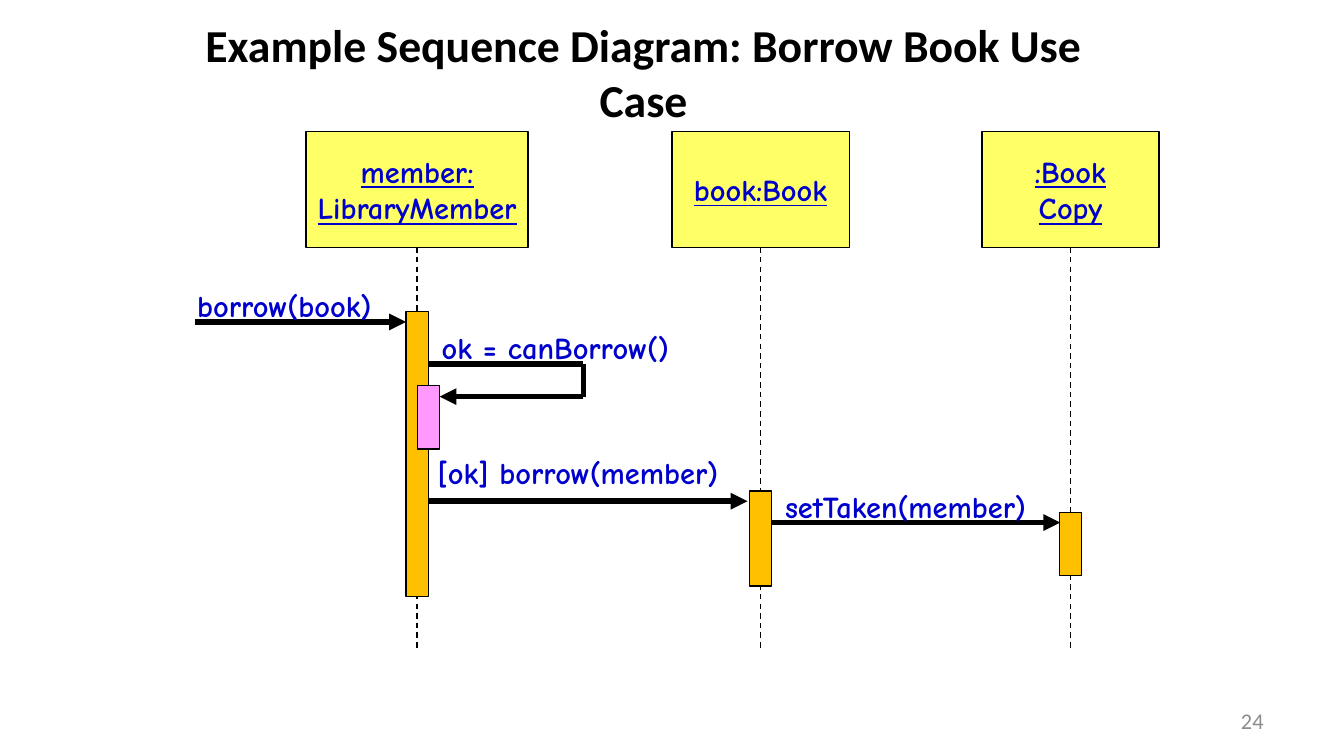
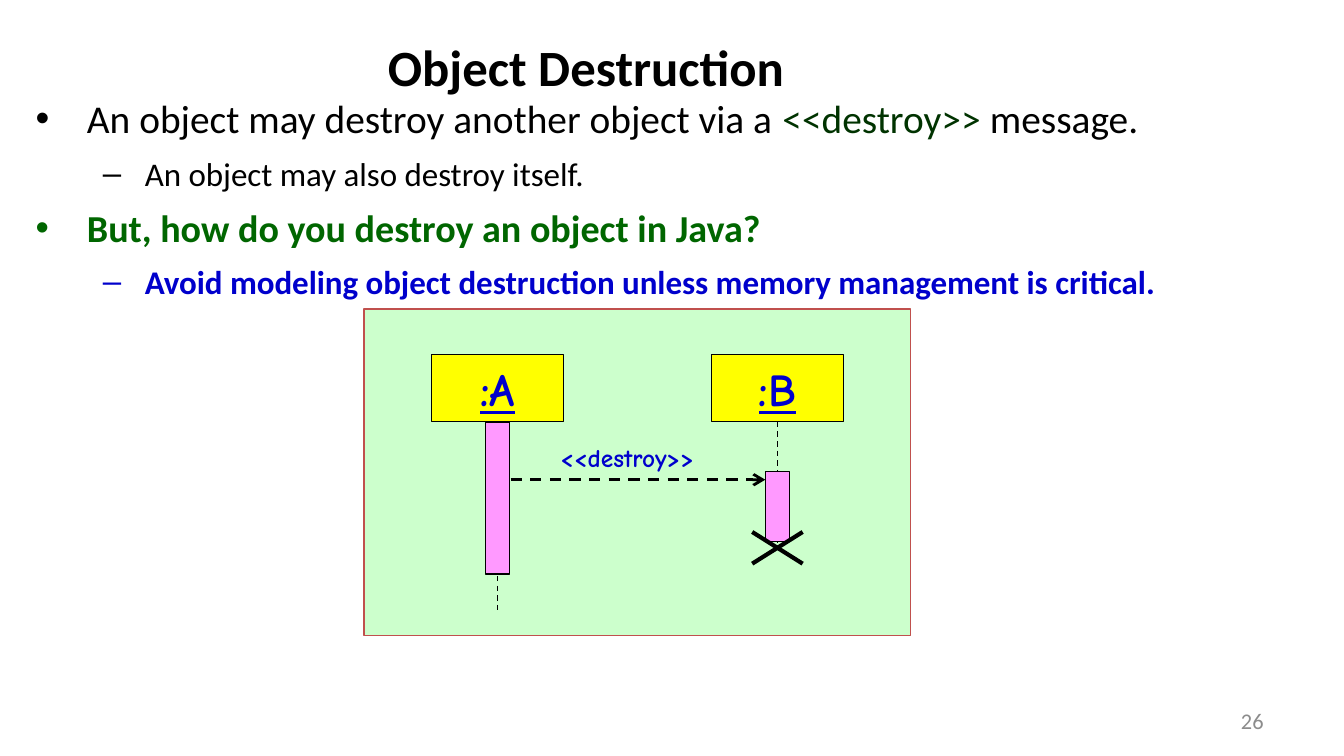
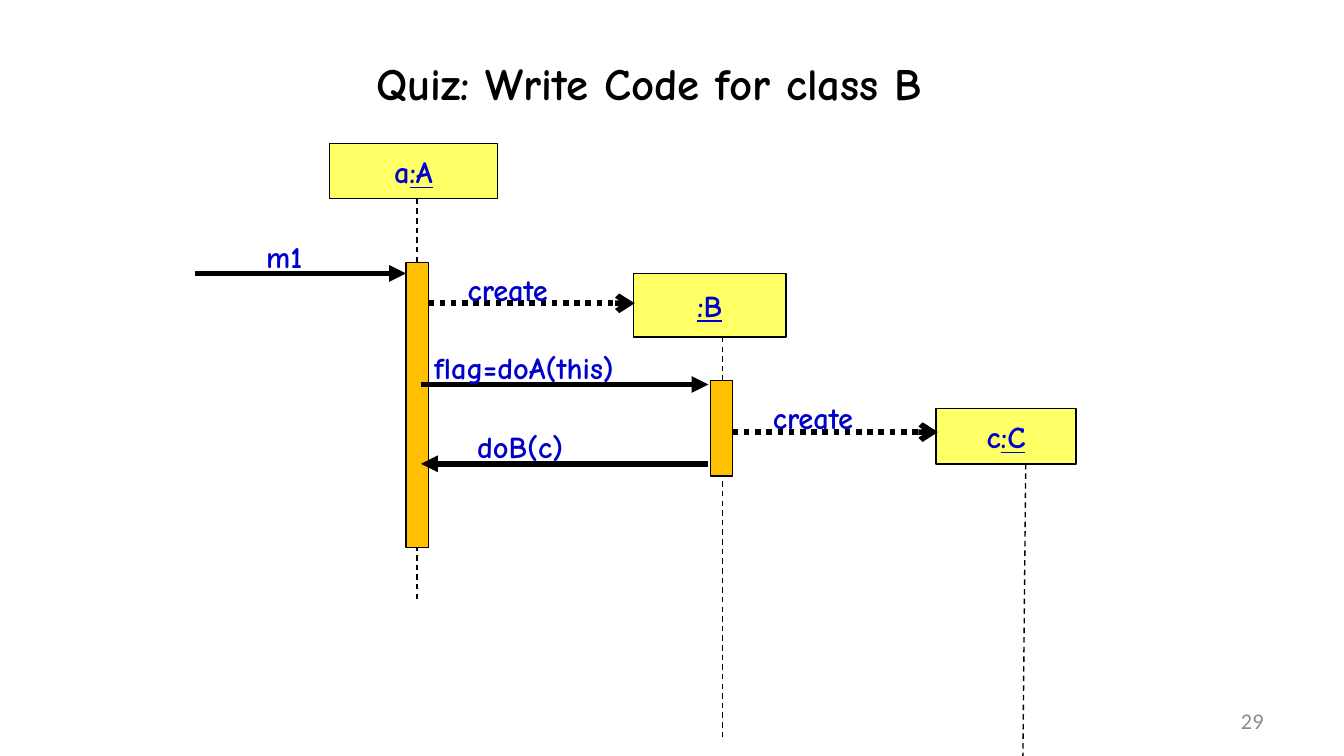
from pptx import Presentation
from pptx.dml.color import RGBColor as Rgb
from pptx.enum.dml import MSO_LINE as Dash
from pptx.enum.shapes import MSO_CONNECTOR as Conn, MSO_SHAPE as Kind
from pptx.enum.text import MSO_ANCHOR as Anchor, MSO_AUTO_SIZE as Auto, PP_ALIGN as Align
from pptx.oxml.ns import qn
from pptx.util import Pt
from lxml.etree import SubElement as Sub

HUES = {
    "black": "000000", "white": "FFFFFF", "grey": "8C8C8C", "blue": "0000CC",
    "lemon": "FFFF66", "yellow": "FFFF00", "gold": "FFC000", "pink": "FF99FF",
    "mint": "CCFFCC", "red": "C0504D", "green": "006600", "dark": "003300",
}
INK = {key: Rgb.from_string(val) for key, val in HUES.items()}

HEAD = dict(name="Calibri", bold=True, ink="black")
BODY = dict(name="Calibri", size=Pt(17.7), ink="black")
FOOT = dict(name="Calibri", size=Pt(12), ink="grey")
CALL = dict(name="Comic Neue", size=Pt(16.3), bold=True, ink="blue")
NAME = {**CALL, "underline": True}

MID = dict(word_wrap=True, vertical_anchor=Anchor.MIDDLE)
CARD = dict(word_wrap=False, vertical_anchor=Anchor.MIDDLE)
TAG = dict(word_wrap=False, auto_size=Auto.SHAPE_TO_FIT_TEXT)
SLIM = dict(margin_left=Pt(5), margin_right=Pt(5), margin_top=Pt(3), margin_bottom=Pt(3))
BARE = dict(margin_left=0, margin_right=0, margin_top=0, margin_bottom=0)


def box(page, at, paras=(), frame={}, align=Align.LEFT, fill=None, edge="black"):
    area = [Pt(n) for n in at]
    if fill:
        shape = page.shapes.add_shape(Kind.RECTANGLE, *area)
        shape.shadow.inherit = False
        shape.fill.solid()
        shape.fill.fore_color.rgb = INK[fill]
        shape.line.color.rgb = INK[edge]
        shape.line.width = Pt(0.75)
    else:
        shape = page.shapes.add_textbox(*area)
    text = shape.text_frame
    for key, val in frame.items():
        setattr(text, key, val)
    for i, runs in enumerate(paras):
        para = text.add_paragraph() if i else text.paragraphs[0]
        para.alignment = align
        for words, form in runs:
            run = para.add_run()
            run.text = words
            for key, val in form.items():
                if key == "ink":
                    run.font.color.rgb = INK[val]
                else:
                    setattr(run.font, key, val)
    return shape


def link(page, ends, width=3, dash=None, tip=None):
    line = page.shapes.add_connector(Conn.STRAIGHT, *[Pt(n) for n in ends])
    line.line.color.rgb = INK["black"]
    line.line.width = Pt(width)
    if dash:
        line.line.dash_style = dash
    props = line._element.spPr
    if tip:
        Sub(props.find(qn("a:ln")), qn("a:tailEnd"), type=tip)
    Sub(props, qn("a:effectLst"))


deck = Presentation()
deck.slide_width, deck.slide_height = Pt(720), Pt(405)

pages = []
for num, title, at, form, frame, pitch in [
    ("24", "Example Sequence Diagram: Borrow Book Use Case", (78, 5, 533.5, 67),
     {"size": Pt(24.5)}, MID, 1),
    ("26", "Object Destruction", (39, 11.5, 550, 47.5), {"size": Pt(27.2)}, MID, 1),
    ("29", "Quiz: Write Code for class B", (103, 13, 489.5, 67),
     {"size": Pt(24), "name": "Comic Neue"}, {**MID, **BARE}, 0.88),
]:
    page = deck.slides.add_slide(deck.slide_layouts[6])
    page.background.fill.solid()
    page.background.fill.fore_color.rgb = INK["white"]
    shape = box(page, at, [[(title, {**HEAD, **form})]], frame, Align.CENTER)
    shape.text_frame.paragraphs[0].line_spacing = pitch
    box(page, (516, 375, 168, 21.5), [[(num, FOOT)]], MID, Align.RIGHT)
    pages.append(page)
borrow, destroy, quiz = pages

for mid, wide, name, frame, top, tall in [
    (223.5, 119, "member:\nLibraryMember", {**CARD, **SLIM}, 167, 152.5),
    (407.5, 95, "book:Book", CARD, 263, 51),
    (573.5, 95, ":Book\nCopy", CARD, 274.5, 34),
]:
    lines = [[(line, NAME)] for line in name.split("\n")]
    box(borrow, (mid - wide / 2, 70.5, wide, 62), lines, frame, Align.CENTER, "lemon")
    link(borrow, (mid, 132.5, mid, 348), 0.75, Dash.DASH)
    box(borrow, (mid - 6, top, 12, tall), fill="gold")
box(borrow, (223.5, 206.5, 12, 34), fill="pink")

for ends, tip in [
    ((104.5, 172.5, 217.5, 172.5), "triangle"),
    ((229.5, 195, 312.5, 195), None),
    ((312.5, 195, 312.5, 212.5), None),
    ((312.5, 212.5, 235.5, 212.5), "triangle"),
    ((229.5, 268.5, 400.5, 268.5), "triangle"),
    ((413.5, 280, 568, 280), "triangle"),
]:
    link(borrow, ends, tip=tip)

for at, words, frame in [
    ((98.5, 150, 117.5, 27), "borrow(book)", TAG),
    ((229.5, 173, 150, 27), "ok = canBorrow()", TAG),
    ((229.5, 240.5, 176.5, 25), "[ok] borrow(member)", {**TAG, **SLIM}),
    ((413.5, 258, 161, 27), "setTaken(member)", TAG),
]:
    box(borrow, at, [[(words, CALL)]], frame)

big = {**BODY, "size": Pt(21.1)}
points = [
    [("An object may destroy another object via a ", big),
     ("<<destroy>>", {**big, "ink": "dark"}), (" message.", big)],
    [("An object may also destroy itself.", BODY)],
    [("But, how do you destroy an object in Java?",
      {**BODY, "size": Pt(20.4), "bold": True, "ink": "green"})],
    [("Avoid modeling object destruction unless memory management is critical.",
      {**BODY, "bold": True, "ink": "blue"})],
]
shape = box(destroy, (12, 44.5, 708, 151), points, {"word_wrap": True})
for i, para in enumerate(shape.text_frame.paragraphs):
    mark, left, hang = [("•", 27.5, 27.5), ("–", 58.5, 22.5)][i % 2]
    para.level = i % 2
    para.line_spacing = 1.1
    para.space_before = Pt(4)
    props = para._p.get_or_add_pPr()
    props.set("marL", str(Pt(left)))
    props.set("indent", str(-Pt(hang)))
    Sub(props, qn("a:buFont"), typeface="Arial")
    Sub(props, qn("a:buChar"), char=mark)

box(destroy, (195, 165.5, 293, 175), fill="mint", edge="red")
for mid, name, end, top, tall in [
    (266.5, ":A", 329, 226, 81.5),
    (416.5, ":B", 291, 252.5, 37.5),
]:
    label = [[(name, {**NAME, "size": Pt(24.5)})]]
    box(destroy, (mid - 35.5, 190, 71, 36), label, CARD, Align.CENTER, "yellow")
    link(destroy, (mid, 226, mid, end), 0.75, Dash.DASH)
    box(destroy, (mid - 6.5, top, 13, tall), fill="pink")
link(destroy, (273.5, 257, 410, 257), 1.5, Dash.DASH, "arrow")
box(destroy, (293, 233.5, 98, 24), [[("<<destroy>>", {**CALL, "size": Pt(13.6)})]], TAG)
for start, end in [(285, 302), (302, 285)]:
    link(destroy, (403, start, 430, end), 2.25)

for at, lead, name, frame, ends in [
    ((176.5, 77, 90, 29.5), "a", ":A", {**CARD, **SLIM}, (223.5, 106.5, 223.5, 321.5)),
    ((339.5, 146.5, 81.5, 34), "", ":B", CARD, (387, 180.5, 387, 395)),
    ((501.5, 219, 75, 29.5), "c", ":C", CARD, (549.5, 248.5, 548, 405)),
]:
    runs = [(lead, CALL), (name, NAME)] if lead else [(name, NAME)]
    box(quiz, at, [runs], frame, Align.CENTER, "lemon")
    link(quiz, ends, 0.75, Dash.DASH)
for at in [(217.5, 140.5, 12, 153), (380.5, 204, 12, 51)]:
    box(quiz, at, fill="gold")

for start, end, y, dash, tip, at, words, frame in [
    (104.5, 217.5, 146.5, None, "triangle", (135.5, 124, 37.5, 27), "m1", TAG),
    (229.5, 340, 162.5, Dash.ROUND_DOT, "arrow", (245.5, 142.5, 62.5, 25), "create",
     {**TAG, **SLIM}),
    (225.5, 379.5, 206, None, "triangle", (225.5, 183.5, 128, 27), "flag=doA(this)", TAG),
    (392.5, 502.5, 231.5, Dash.ROUND_DOT, "arrow", (409, 211, 62.5, 25), "create",
     {**TAG, **SLIM}),
    (379.5, 225.5, 248.5, None, "triangle", (248.5, 226, 61, 27), "doB(c)", TAG),
]:
    link(quiz, (start, y, end, y), 3, dash, tip)
    box(quiz, at, [[(words, CALL)]], frame)

deck.save("out.pptx")
